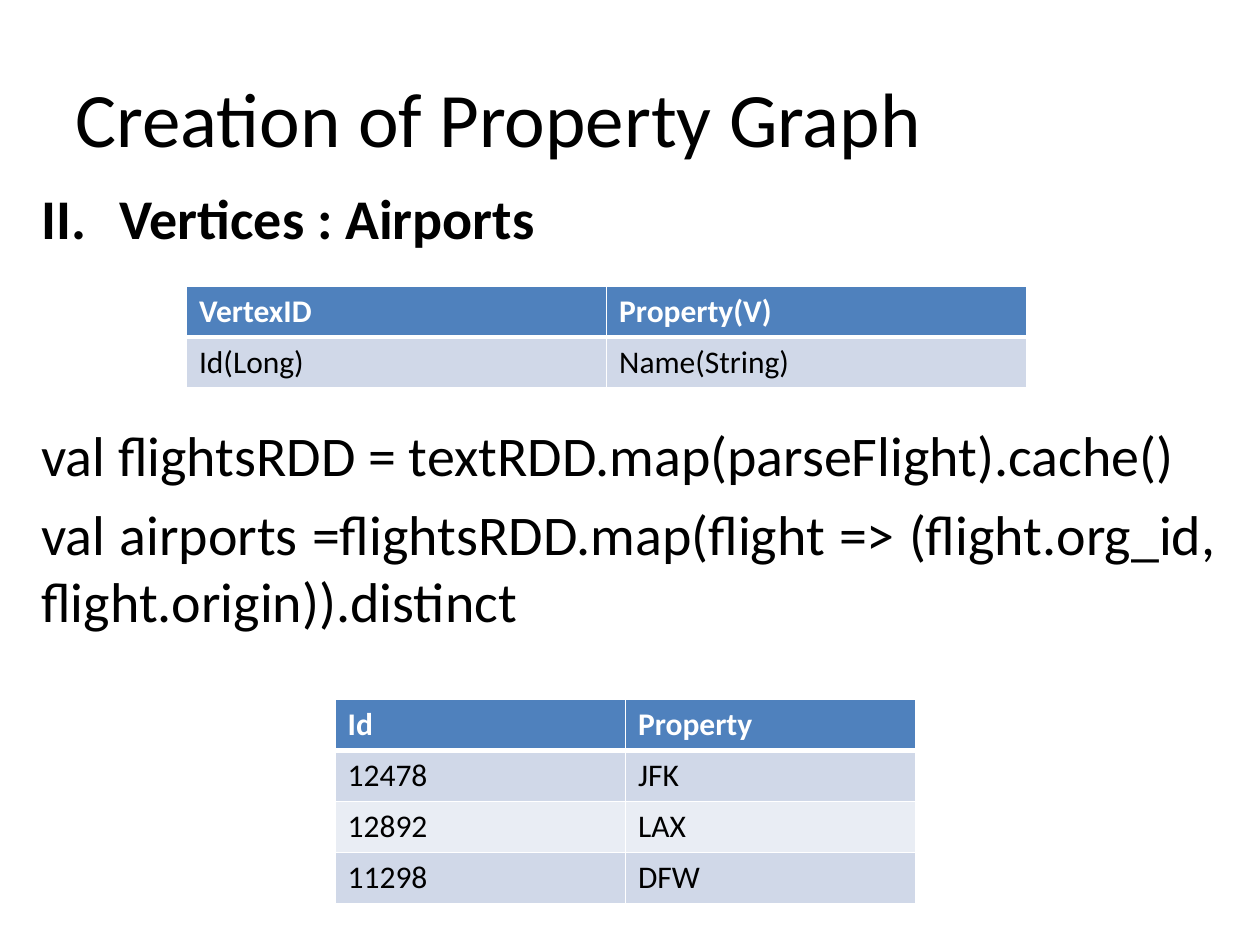
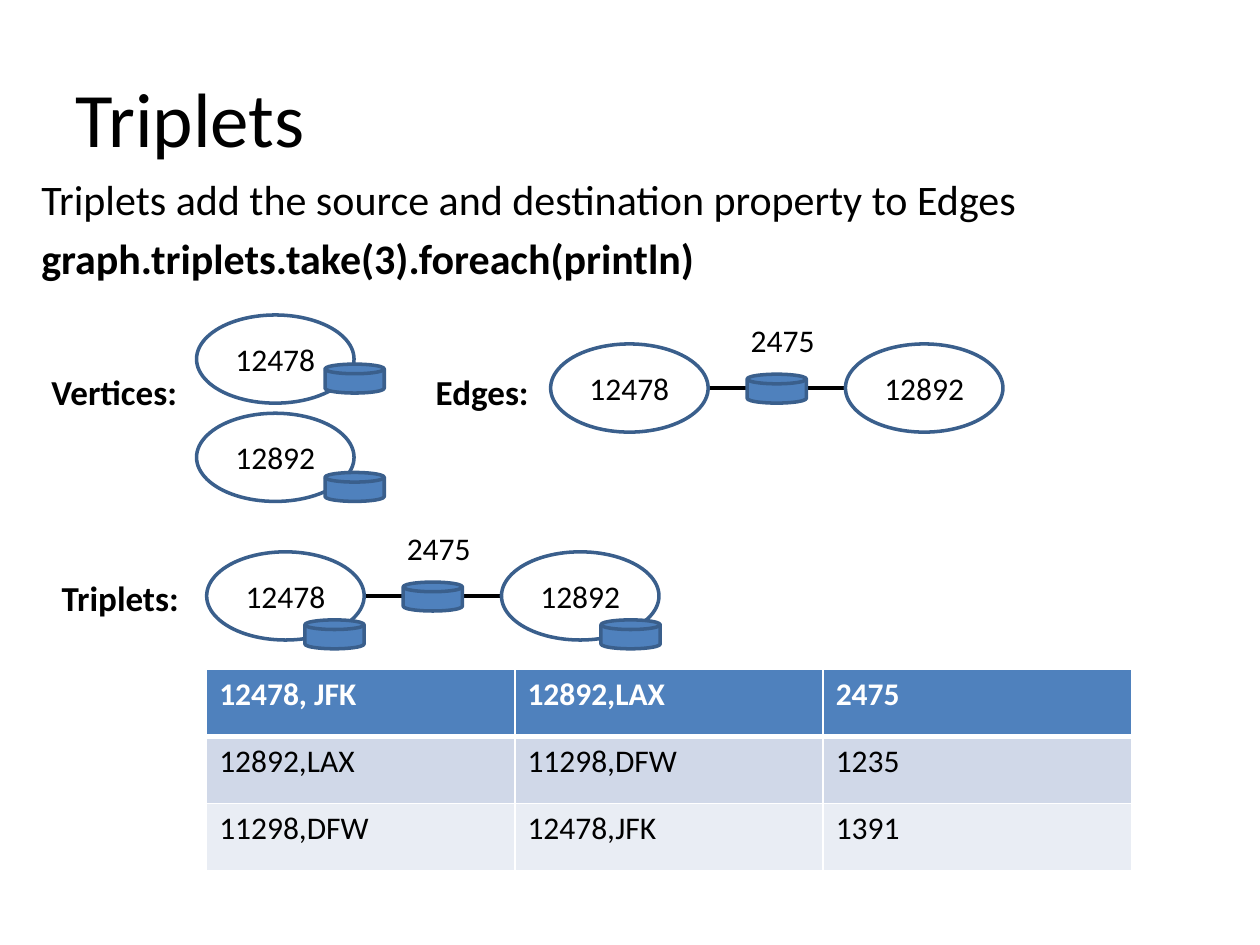
from lxml.etree import SubElement
from pptx import Presentation
from pptx.dml.color import RGBColor
from pptx.enum.shapes import MSO_CONNECTOR, MSO_SHAPE
from pptx.enum.text import MSO_ANCHOR, PP_ALIGN
from pptx.oxml.ns import qn
from pptx.util import Inches, Pt

FONT = "Calibri"
BLACK, WHITE = "000000", "FFFFFF"
BLUE, OUTLINE = "4F81BD", "3A5F8C"
BANDS = ["D0D8E8", "E9EDF4"]
rgb = RGBColor.from_string


def write(tf, text, size=18, color=BLACK, bold=False, align=PP_ALIGN.LEFT, before=0):
    """Fill the first paragraph if it is free, otherwise add one."""
    p = tf.add_paragraph() if tf.text else tf.paragraphs[0]
    p.alignment, p.space_before = align, Pt(before)
    r = p.add_run()
    r.text = text
    r.font.name, r.font.size, r.font.bold = FONT, Pt(size), bold
    r.font.color.rgb = rgb(color)
    return p


def add_box(s, x, y, w, h, kind=None, fill=None):
    """Add a text box, or an outlined shape if a kind is given."""
    place = [Inches(v) for v in (x, y, w, h)]
    if kind is None:
        sp = s.shapes.add_textbox(*place)
    else:
        sp = s.shapes.add_shape(kind, *place)
        sp.shadow.inherit = False
        sp.line.color.rgb, sp.line.width = rgb(OUTLINE), Pt(2)
        if fill:
            sp.fill.solid()
            sp.fill.fore_color.rgb = rgb(fill)
        else:
            sp.fill.background()
        sp.text_frame.vertical_anchor = MSO_ANCHOR.MIDDLE
    sp.text_frame.word_wrap = True
    return sp.text_frame


prs = Presentation()
prs.slide_width, prs.slide_height = Inches(10), Inches(7.5)

# Slides and titles
slides = []
for title in ["Creation of Property Graph", "Triplets"]:
    s = prs.slides.add_slide(prs.slide_layouts[5])
    sp = s.shapes.title
    sp.left, sp.top, sp.width, sp.height = [Inches(v) for v in (0.5, 0.3, 9, 1.25)]
    sp.text_frame.vertical_anchor = MSO_ANCHOR.MIDDLE
    write(sp.text_frame, title, size=44)
    slides.append(s)
graph, triplets = slides

# Body text: numbered heading, then code below the first table
tf = add_box(graph, 0.23, 1.41, 9.53, 5.86)
p = write(tf, "Vertices : Airports", size=32, bold=True, align=PP_ALIGN.JUSTIFY, before=6.4)
pPr = p._p.get_or_add_pPr()
pPr.set("marL", str(Inches(0.62)))
pPr.set("indent", str(Inches(-0.62)))
SubElement(pPr, qn("a:buFont"), typeface="+mj-lt")
SubElement(pPr, qn("a:buAutoNum"), type="romanUcPeriod", startAt="2")
for text, before in [
    ("val flightsRDD = textRDD.map(parseFlight).cache()", 97),
    ("val airports =flightsRDD.map(flight => (flight.org_id, flight.origin)).distinct", 6.4),
]:
    write(tf, text, size=32, align=PP_ALIGN.JUSTIFY, before=before)

tf = add_box(triplets, 0.23, 1.33, 9.53, 5.94)
for text, bold in [
    ("Triplets add the source and destination property to Edges", False),
    ("graph.triplets.take(3).foreach(println)", True),
]:
    write(tf, text, size=24, bold=bold, align=PP_ALIGN.JUSTIFY, before=4.8)

# Tables: slide, left, top, width, height, rows
tables = [
    (graph, 1.48, 2.27, 6.67, 0.81,
     [["VertexID", "Property(V)"], ["Id(Long)", "Name(String)"]]),
    (graph, 2.66, 5.55, 4.61, 1.62,
     [["Id", "Property"], ["12478", "JFK"], ["12892", "LAX"], ["11298", "DFW"]]),
    (triplets, 1.64, 5.31, 7.34, 1.6,
     [["12478, JFK", "12892,LAX", "2475"],
      ["12892,LAX", "11298,DFW", "1235"],
      ["11298,DFW", "12478,JFK", "1391"]]),
]
for s, x, y, w, h, rows in tables:
    table = s.shapes.add_table(len(rows), len(rows[0]), Inches(x), Inches(y),
                               Inches(w), Inches(h)).table
    for i, row in enumerate(rows):
        for j, text in enumerate(row):
            cell = table.cell(i, j)
            head = i == 0
            write(cell.text_frame, text, color=WHITE if head else BLACK, bold=head)
            # White borders, with a thick rule under the header
            tcPr = cell._tc.get_or_add_tcPr()
            for side in "LRTB":
                thick = (i, side) in [(0, "B"), (1, "T")]
                ln = SubElement(tcPr, qn(f"a:ln{side}"), w=str(Pt(3 if thick else 1)))
                SubElement(SubElement(ln, qn("a:solidFill")), qn("a:srgbClr"), val=WHITE)
            cell.fill.solid()
            cell.fill.fore_color.rgb = rgb(BLUE if head else BANDS[(i - 1) % 2])

# Row labels of the diagram
for text, x, y, w in [("Vertices:", 0.31, 2.89, 1.25), ("Edges:", 3.36, 2.89, 1.02),
                      ("Triplets:", 0.39, 4.53, 1.25)]:
    write(add_box(triplets, x, y, w, 0.44), text, size=20, bold=True)

# Edges: line, property disk and distance between two vertices
NODE_W, NODE_H, NODE_STEP = 1.25, 0.7, 2.34
DISK_W, DISK_H = 0.47, 0.23
nodes = [("12478", 1.56, 2.5), ("12892", 1.56, 3.28)]
disks = [(2.58, 2.89), (2.58, 3.75), (2.42, 4.92), (4.77, 4.92)]
for x, y in [(4.37, 2.73), (1.64, 4.38)]:
    nodes += [("12478", x, y), ("12892", x + NODE_STEP, y)]
    disks.append((x + 1.56, y + 0.24))
    mid = Inches(y + NODE_H / 2)
    line = triplets.shapes.add_connector(MSO_CONNECTOR.STRAIGHT, Inches(x + NODE_W), mid,
                                         Inches(x + NODE_STEP), mid)
    line.line.color.rgb, line.line.width = rgb(BLACK), Pt(2.25)
    SubElement(line._element.spPr, qn("a:effectLst"))
    write(add_box(triplets, x + 1.49, y - 0.23, 0.78, 0.4), "2475")

# Vertices, then the disks on top of them
for text, x, y in nodes:
    write(add_box(triplets, x, y, NODE_W, NODE_H, MSO_SHAPE.OVAL), text, align=PP_ALIGN.CENTER)
for x, y in disks:
    add_box(triplets, x, y, DISK_W, DISK_H, MSO_SHAPE.FLOWCHART_MAGNETIC_DISK, BLUE)

prs.save("out.pptx")
